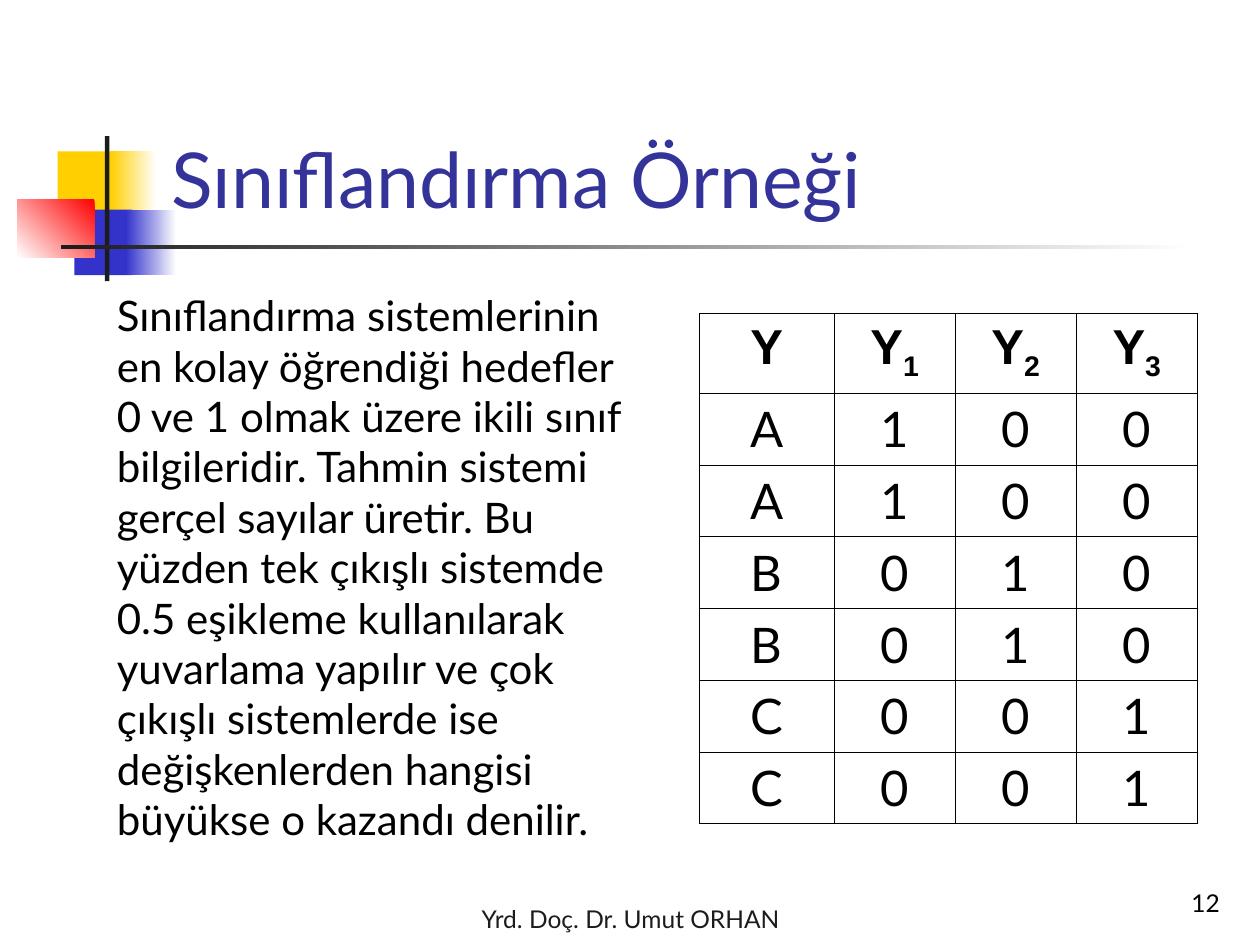
from dataclasses import dataclass

from lxml import etree
from pptx import Presentation
from pptx.dml.color import RGBColor
from pptx.enum.shapes import MSO_SHAPE
from pptx.enum.text import MSO_ANCHOR, MSO_AUTO_SIZE, PP_ALIGN
from pptx.oxml.ns import qn
from pptx.util import Pt

RECT = MSO_SHAPE.RECTANGLE
TOP, MIDDLE, BOTTOM = MSO_ANCHOR.TOP, MSO_ANCHOR.MIDDLE, MSO_ANCHOR.BOTTOM
LEFT, CENTER, RIGHT = PP_ALIGN.LEFT, PP_ALIGN.CENTER, PP_ALIGN.RIGHT
NO_FIT = MSO_AUTO_SIZE.NONE


@dataclass(frozen=True)
class Theme:
    """Colours, fonts and type sizes of the deck."""
    white: str = "FFFFFF"
    black: str = "000000"
    dark: str = "1C1C1C"
    yellow: str = "FFCF01"
    blue: str = "3333CC"
    red: str = "FF0000"
    title: str = "333399"
    font: str = "Lato"
    head_font: str = "Arial"
    title_size: float = 44
    table_size: float = 28
    body_size: float = 24
    small_size: float = 14
    border: float = 0.45


T = Theme()
BODY = (
    "Sınıflandırma sistemlerinin en kolay öğrendiği hedefler 0 ve 1 olmak üzere "
    "ikili sınıf bilgileridir. Tahmin sistemi gerçel sayılar üretir. Bu yüzden tek "
    "çıkışlı sistemde 0.5 eşikleme kullanılarak yuvarlama yapılır ve çok çıkışlı "
    "sistemlerde ise değişkenlerden hangisi büyükse o kazandı denilir."
)
CLASSES = "ABC"


def points(*values):
    """Convert numbers to point lengths."""
    return [Pt(v) for v in values]


def write(p, text, *, size, color=T.black, font=T.font, bold=False, align=LEFT, sub=""):
    """Write formatted text, with an optional subscript, into a paragraph."""
    p.alignment = align
    for part, base in ((text, 0), (sub, -25)):
        if not part:
            continue
        r = p.add_run()
        r.text = part
        r.font.size, r.font.name, r.font.bold = Pt(size), font, bold
        r.font.color.rgb = RGBColor.from_string(color)
        if base:
            r.font._element.set("baseline", str(base * 1000))


def add_text(s, box, text, *, anchor=TOP, **fmt):
    """Add a wrapping text box."""
    tf = s.shapes.add_textbox(*points(*box)).text_frame
    tf.word_wrap, tf.vertical_anchor = True, anchor
    write(tf.paragraphs[0], text, **fmt)


def add_block(s, box, *colors, angle=180):
    """Add a rectangle filled with one colour or a two-colour gradient."""
    sp = s.shapes.add_shape(RECT, *points(*box))
    sp.shadow.inherit = False
    sp.line.fill.background()
    if len(colors) == 1:
        sp.fill.solid()
        sp.fill.fore_color.rgb = RGBColor.from_string(colors[0])
        return
    sp.fill.gradient()
    sp.fill.gradient_angle = angle
    for stop, position, color in zip(sp.fill.gradient_stops, (0, 1), colors):
        stop.position = position
        stop.color.rgb = RGBColor.from_string(color)


def add_ornament(s, box):
    """Draw the coloured blocks and the crossing rules."""
    x, y, w, h = box
    block_h = 37.5
    low = y + 42
    add_block(s, (x + 23, y + 8.7, 34.5, block_h), T.yellow)
    add_block(s, (x + 53.3, y + 8.7, 26, block_h), T.white, T.yellow)
    add_block(s, (x + 32.5, low, 33, block_h), T.blue)
    add_block(s, (x + 62, low, 28.8, block_h), T.white, T.blue)
    add_block(s, (x, y + 36, 44, 33.4), T.red, T.white, angle=225)
    add_block(s, (x + 50, y, 2.5, h), T.dark)
    add_block(s, (x + 24.8, y + 62.2, w - 24.8, 2.5), T.white, T.dark)


def add_title(s, box, text):
    """Place and format the title above the ornament."""
    sp = s.shapes.title
    sp.left, sp.top, sp.width, sp.height = points(*box)
    tf = sp.text_frame
    tf.word_wrap, tf.auto_size, tf.vertical_anchor = True, NO_FIT, BOTTOM
    write(tf.paragraphs[0], text, size=T.title_size, color=T.title)
    s.shapes._spTree.append(sp._element)


def format_cell(cell):
    """Give a cell thin borders and no fill."""
    tc_pr = cell._tc.get_or_add_tcPr()
    for side in ("lnL", "lnR", "lnT", "lnB"):
        ln = etree.SubElement(tc_pr, qn(f"a:{side}"), w=str(Pt(T.border)))
        fill = etree.SubElement(ln, qn("a:solidFill"))
        etree.SubElement(fill, qn("a:srgbClr"), val=T.black)
    cell.fill.background()


def add_class_table(s, box):
    """Add the table that codes each class as binary outputs."""
    x, y, w, h = box
    first_w, head_h = 77, 45.5
    n = len(CLASSES)
    labels = [c for c in CLASSES for _ in range(2)]
    rows = [[("Y", "")] + [("Y", str(i + 1)) for i in range(n)]]
    rows += [[(c, "")] + [(str(int(c == k)), "") for k in CLASSES] for c in labels]
    table = s.shapes.add_table(len(rows), n + 1, *points(x, y, w, h)).table
    table.first_row = table.horz_banding = False
    for j, col in enumerate(table.columns):
        col.width = Pt((w - first_w) / n if j else first_w)
    for i, row in enumerate(table.rows):
        row.height = Pt((h - head_h) / len(labels) if i else head_h)
        for cell, (text, sub) in zip(row.cells, rows[i]):
            format_cell(cell)
            write(cell.text_frame.paragraphs[0], text, sub=sub, size=T.table_size,
                  font=T.font if i else T.head_font, bold=i == 0, align=CENTER)


def main():
    """Build the slide and save it."""
    prs = Presentation()
    prs.slide_width, prs.slide_height = points(720, 540)
    s = prs.slides.add_slide(prs.slide_layouts[5])
    add_ornament(s, (10, 77.8, 672.6, 82.8))
    add_text(s, (14.4, 512.6, 692, 24.5), "Yrd. Doç. Dr. Umut ORHAN",
             anchor=BOTTOM, size=T.small_size, color=T.dark, align=CENTER)
    add_title(s, (90.7, 16.5, 613.5, 115.2), "Sınıflandırma Örneği")
    add_class_table(s, (399.6, 179.2, 284.6, 291.5))
    add_text(s, (59.7, 162, 311.8, 381.6), BODY, size=T.body_size)
    add_text(s, (554.4, 491.8, 149.8, 36), "12",
             anchor=BOTTOM, size=T.small_size, align=RIGHT)
    prs.save("out.pptx")


if __name__ == "__main__":
    main()
